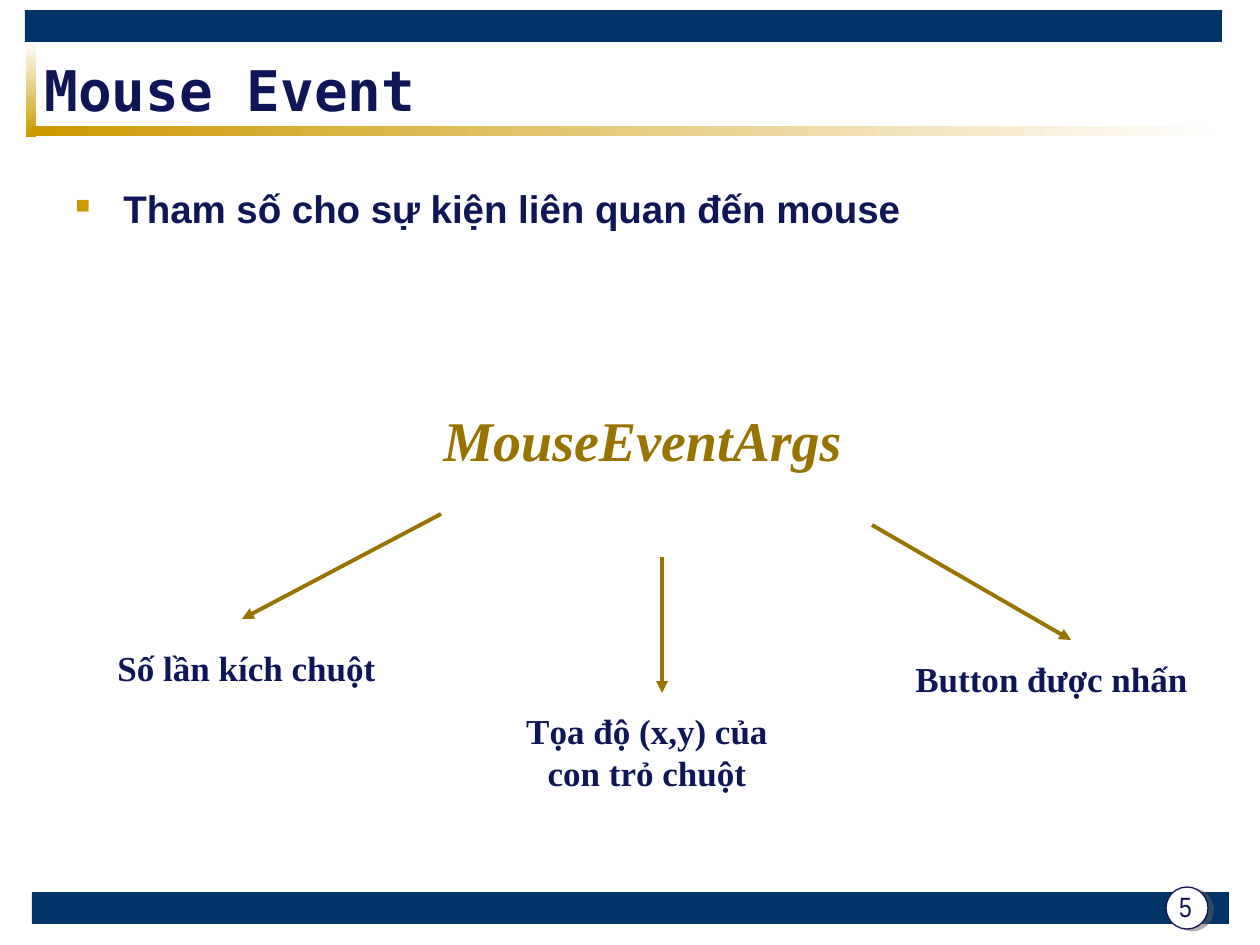
from lxml import etree
from pptx import Presentation
from pptx.dml.color import RGBColor
from pptx.enum.shapes import MSO_CONNECTOR, MSO_SHAPE
from pptx.enum.text import MSO_ANCHOR, MSO_AUTO_SIZE, PP_ALIGN
from pptx.oxml import parse_xml
from pptx.oxml.ns import nsdecls, qn
from pptx.util import Emu, Pt

COLORS = {"navy": "0F1657", "bar": "003366", "gold": "CC9900",
          "bronze": "997300", "white": "FFFFFF", "shadow": "5F5F5F"}
SERIF = "Times New Roman"

# Content: boxes are left, top, width, height in px
BARS = [(32, 892, 1197, 32), (25, 10, 1197, 32)]
GRADIENTS = [  # box, first colour, last colour, angle (counter-clockwise)
    ((26, 42, 10, 95), "white", "gold", 270),
    ((32, 126, 1187, 10), "gold", "white", 0),
]
BADGE = (1166, 887, 42, 42)
LABEL = dict(size=20, font=SERIF, bold=True)
TEXTS = [
    ("5", (1158, 879, 55, 55),
     dict(size=16, font="Arial Narrow", align=PP_ALIGN.CENTER, anchor=MSO_ANCHOR.MIDDLE)),
    ("Mouse Event", (32, 53, 1134, 73),
     dict(size=32, font="DejaVu Sans Mono", bold=True, anchor=MSO_ANCHOR.MIDDLE)),
    ("Tham số cho sự kiện liên quan đến mouse", (63, 179, 1134, 672),
     dict(size=22, font="Arial", bold=True, bullet="■")),
    ("Tọa độ (x,y) của con trỏ chuột", (494, 703, 306, 97),
     dict(LABEL, align=PP_ALIGN.CENTER)),
    ("Button được nhấn", (903, 651, 300, 55), dict(LABEL, wrap=False)),
    ("Số lần kích chuột", (105, 640, 285, 55), dict(LABEL, wrap=False)),
    ("MouseEventArgs", (431, 399, 426, 81),
     dict(size=32, font=SERIF, bold=True, italic=True, color="bronze", wrap=False)),
]
ARROWS = [(441, 514, 242, 619), (662, 557, 662, 693), (872, 525, 1071, 640)]


def px(value):
    return Emu(round(value * 914400 / 126))


def rgb(name):
    return RGBColor.from_string(COLORS[name])


def add_box(slide, kind, box):
    shape = slide.shapes.add_shape(kind, *map(px, box))
    shape.shadow.inherit = False
    shape.line.fill.background()
    return shape


def fill_solid(shape, color):
    shape.fill.solid()
    shape.fill.fore_color.rgb = rgb(color)


def add_bullet(paragraph, character):
    properties = paragraph._p.get_or_add_pPr()
    properties.set("marL", str(px(48)))
    properties.set("indent", str(-px(48)))
    for tag, attributes in (("buSzPct", {"val": "52000"}), ("buChar", {"char": character})):
        etree.SubElement(properties, qn("a:" + tag), attributes)
    properties.insert(0, parse_xml(
        f'<a:buClr {nsdecls("a")}><a:srgbClr val="{COLORS["gold"]}"/></a:buClr>'))


def add_text(slide, text, box, *, size, font, color="navy", bold=False, italic=False,
             align=PP_ALIGN.LEFT, anchor=MSO_ANCHOR.TOP, wrap=True, bullet=None):
    frame = slide.shapes.add_textbox(*map(px, box)).text_frame
    frame.word_wrap = wrap
    if not wrap:  # the box grows with its single line
        frame.auto_size = MSO_AUTO_SIZE.SHAPE_TO_FIT_TEXT
    frame.vertical_anchor = anchor
    paragraph = frame.paragraphs[0]
    paragraph.alignment = align
    if bullet:
        add_bullet(paragraph, bullet)
    run = paragraph.add_run()
    run.text = text
    run.font.name, run.font.size = font, Pt(size)
    run.font.bold, run.font.italic = bold, italic
    run.font.color.rgb = rgb(color)


def add_arrow(slide, ends):
    arrow = slide.shapes.add_connector(MSO_CONNECTOR.STRAIGHT, *map(px, ends))
    arrow.line.color.rgb = rgb("bronze")
    arrow.line.width = Pt(2.25)
    etree.SubElement(arrow.line._get_or_add_ln(), qn("a:tailEnd"), type="triangle")
    etree.SubElement(arrow._element.spPr, qn("a:effectLst"))


def main():
    presentation = Presentation()
    presentation.slide_width, presentation.slide_height = px(1260), px(945)
    slide = presentation.slides.add_slide(presentation.slide_layouts[6])

    # Bars and fading rules
    for box in BARS:
        fill_solid(add_box(slide, MSO_SHAPE.RECTANGLE, box), "bar")
    for box, first, last, angle in GRADIENTS:
        fill = add_box(slide, MSO_SHAPE.RECTANGLE, box).fill
        fill.gradient()
        fill.gradient_angle = angle
        for stop, color in zip(fill.gradient_stops, (first, last)):
            stop.color.rgb = rgb(color)

    # Page number badge with its shadow
    badge = add_box(slide, MSO_SHAPE.OVAL, BADGE)
    fill_solid(badge, "white")
    badge.line.color.rgb = rgb("navy")
    badge.line.width = Pt(0.75)
    badge._element.spPr.find(qn("a:effectLst")).append(parse_xml(
        f'<a:outerShdw {nsdecls("a")} dist="{Pt(3.2)}" dir="{18 * 60000}" algn="ctr" rotWithShape="0">'
        f'<a:srgbClr val="{COLORS["shadow"]}"><a:alpha val="50000"/></a:srgbClr></a:outerShdw>'))

    # Wording and arrows
    for text, box, style in TEXTS:
        add_text(slide, text, box, **style)
    for ends in ARROWS:
        add_arrow(slide, ends)

    presentation.save("out.pptx")


if __name__ == "__main__":
    main()
